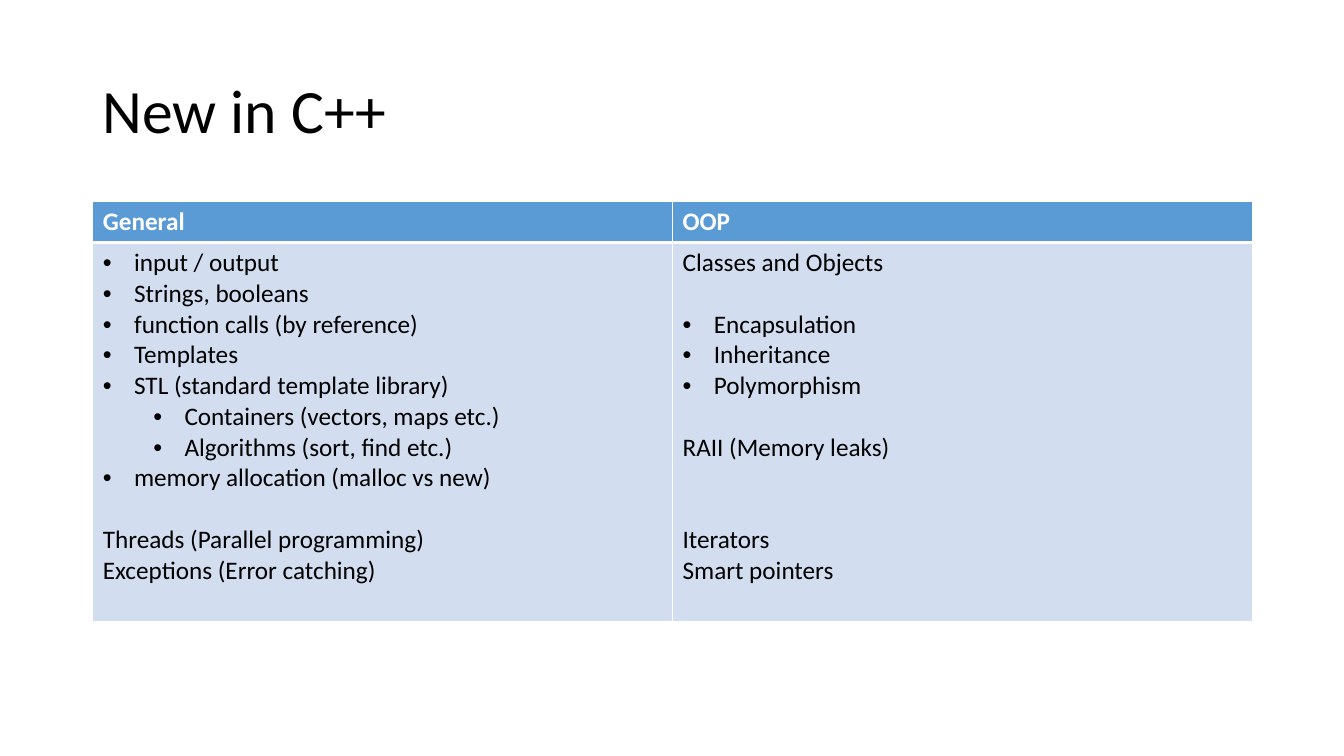
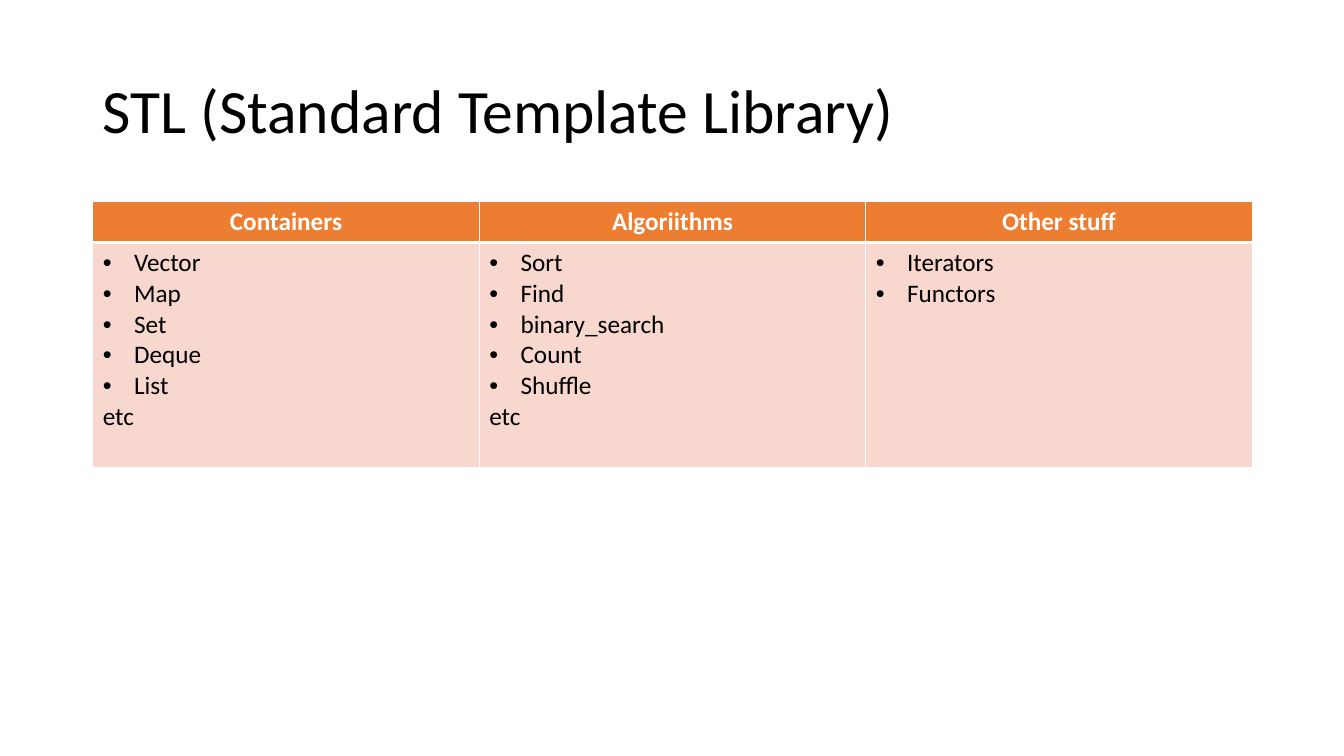
from dataclasses import dataclass

from lxml.etree import SubElement
from pptx import Presentation
from pptx.dml.color import RGBColor
from pptx.enum.text import MSO_ANCHOR, PP_ALIGN
from pptx.oxml import parse_xml
from pptx.oxml.ns import nsdecls, qn
from pptx.util import Inches, Pt


@dataclass(frozen=True)
class Theme:
    font: str = "Calibri"
    bullet_font: str = "Arial"
    title_size: int = 44
    body_size: int = 18
    blank_line: int = 22
    ink: str = "000000"
    paper: str = "FFFFFF"
    blue: tuple = ("5B9BD5", "D2DEEF")
    orange: tuple = ("ED7D31", "F8D7CE")
    left: float = 0.92
    width: float = 11.5
    hang: float = 0.31
    indent_step: float = 0.5
    header_height: float = 0.4
    thin: int = 1
    thick: int = 3


@dataclass(frozen=True)
class Line:
    text: str
    level: int | None = None
    blanks_before: int = 0


def bullets(*texts, level=0):
    return [Line(text, level) for text in texts]


class SlideWriter:
    def __init__(self, theme):
        self.theme = theme
        self.deck = Presentation()
        self.deck.slide_width = Inches(13.33)
        self.deck.slide_height = Inches(7.5)
        self.page = None

    def add_page(self, title):
        theme = self.theme
        self.page = self.deck.slides.add_slide(self.deck.slide_layouts[5])
        box = self.page.shapes.title
        box.left, box.top = Inches(theme.left), Inches(0.4)
        box.width, box.height = Inches(theme.width), Inches(1.45)
        box.text_frame.vertical_anchor = MSO_ANCHOR.MIDDLE
        para = box.text_frame.paragraphs[0]
        para.alignment = PP_ALIGN.LEFT
        para.line_spacing = 0.9
        self.add_span(para, title, theme.title_size, theme.ink)

    def add_span(self, para, text, size, color, bold=False):
        span = para.add_run()
        span.text = text
        span.font.name = self.theme.font
        span.font.size = Pt(size)
        span.font.bold = bold
        span.font.color.rgb = RGBColor.from_string(color)

    def add_bullet(self, para, level):
        theme = self.theme
        properties = para._p.get_or_add_pPr()
        margin = theme.hang + level * theme.indent_step
        properties.set("marL", str(Inches(margin)))
        properties.set("indent", str(-Inches(theme.hang)))
        SubElement(properties, qn("a:buFont"), typeface=theme.bullet_font)
        SubElement(properties, qn("a:buChar"), char="•")

    def paint_cell(self, cell, color, top, bottom):
        thin = self.theme.thin
        cell.fill.solid()
        cell.fill.fore_color.rgb = RGBColor.from_string(color)
        properties = cell._tc.get_or_add_tcPr()
        edges = {"lnL": thin, "lnR": thin, "lnT": top, "lnB": bottom}
        for position, (edge, points) in enumerate(edges.items()):
            properties.insert(position, parse_xml(
                f'<a:{edge} {nsdecls("a")} w="{Pt(points)}"><a:solidFill>'
                f'<a:srgbClr val="{self.theme.paper}"/></a:solidFill></a:{edge}>'))

    def fill_header(self, cell, text, color, alignment):
        theme = self.theme
        self.paint_cell(cell, color, theme.thin, theme.thick)
        para = cell.text_frame.paragraphs[0]
        para.alignment = alignment
        self.add_span(para, text, theme.body_size, theme.paper, bold=True)

    def fill_body(self, cell, lines, color):
        theme = self.theme
        self.paint_cell(cell, color, theme.thick, theme.thin)
        for number, line in enumerate(lines):
            frame = cell.text_frame
            para = frame.add_paragraph() if number else frame.paragraphs[0]
            if line.blanks_before:
                para.space_before = Pt(line.blanks_before * theme.blank_line)
            if line.level is not None:
                para.level = line.level
                self.add_bullet(para, line.level)
            self.add_span(para, line.text, theme.body_size, theme.ink)

    def add_table(self, columns, colors, body_height, alignment=PP_ALIGN.LEFT):
        theme = self.theme
        header_color, body_color = colors
        table = self.page.shapes.add_table(
            2, len(columns), Inches(theme.left), Inches(2), Inches(theme.width),
            Inches(theme.header_height + body_height)).table
        table.horz_banding = False
        table.rows[0].height = Inches(theme.header_height)
        table.rows[1].height = Inches(body_height)
        for index, (heading, lines) in enumerate(columns.items()):
            table.columns[index].width = Inches(theme.width / len(columns))
            self.fill_header(table.cell(0, index), heading, header_color, alignment)
            self.fill_body(table.cell(1, index), lines, body_color)


def main():
    theme = Theme()
    writer = SlideWriter(theme)

    writer.add_page("New in C++")
    writer.add_table({
        "General": [
            *bullets("input / output", "Strings, booleans",
                     "function calls (by reference)", "Templates",
                     "STL (standard template library)"),
            *bullets("Containers (vectors, maps etc.)",
                     "Algorithms (sort, find etc.)", level=1),
            *bullets("memory allocation (malloc vs new)"),
            Line("Threads (Parallel programming)", blanks_before=1),
            Line("Exceptions (Error catching)"),
        ],
        "OOP": [
            Line("Classes and Objects"),
            Line("Encapsulation", level=0, blanks_before=1),
            *bullets("Inheritance", "Polymorphism"),
            Line("RAII (Memory leaks)", blanks_before=1),
            Line("Iterators", blanks_before=2),
            Line("Smart pointers"),
        ],
    }, theme.blue, body_height=3.76)

    writer.add_page("STL (Standard Template Library)")
    writer.add_table({
        "Containers": [*bullets("Vector", "Map", "Set", "Deque", "List"),
                       Line("etc")],
        "Algoriithms": [*bullets("Sort", "Find", "binary_search", "Count", "Shuffle"),
                        Line("etc")],
        "Other stuff": bullets("Iterators", "Functors"),
    }, theme.orange, body_height=2.23, alignment=PP_ALIGN.CENTER)

    writer.deck.save("out.pptx")


if __name__ == "__main__":
    main()
